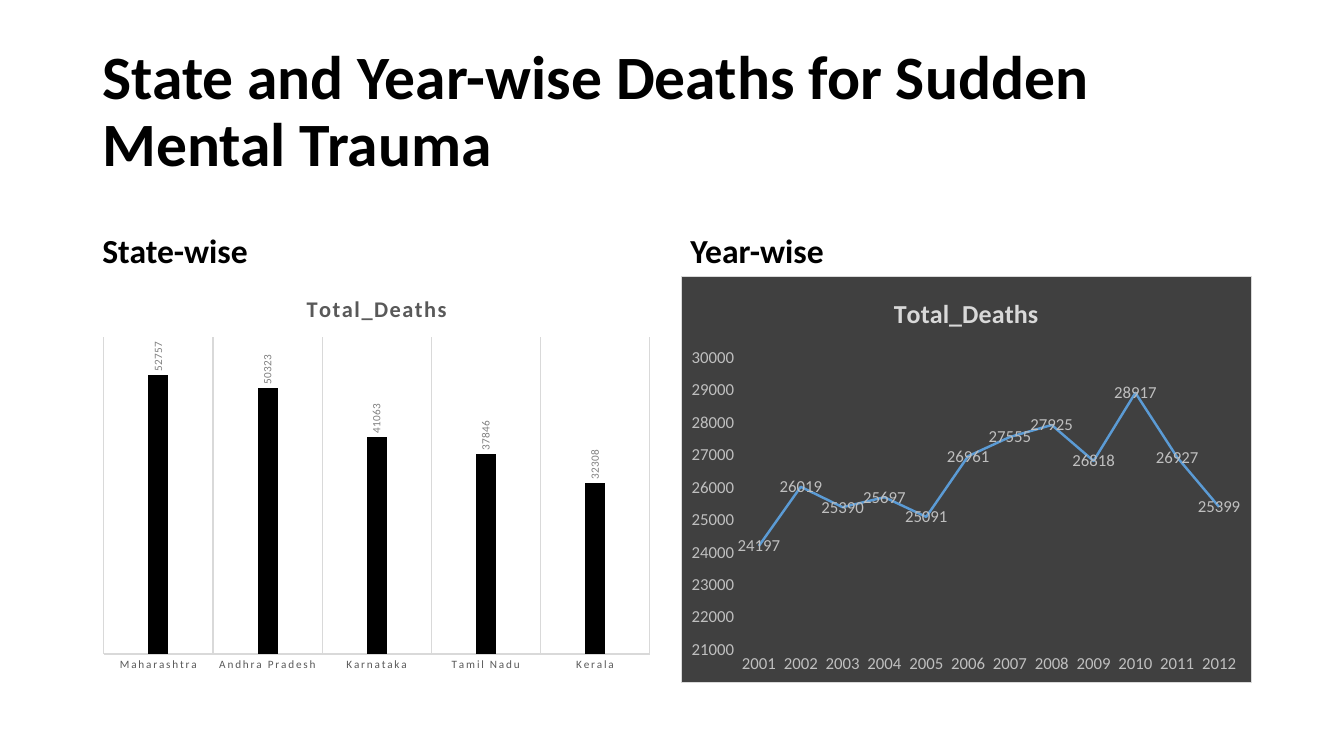
from lxml import etree
from pptx import Presentation
from pptx.chart.data import CategoryChartData
from pptx.dml.color import RGBColor
from pptx.enum.chart import (XL_CHART_TYPE, XL_LABEL_POSITION, XL_MARKER_STYLE,
                             XL_TICK_MARK)
from pptx.enum.text import MSO_ANCHOR
from pptx.oxml import parse_xml
from pptx.oxml.ns import nsdecls, qn
from pptx.util import Cm, Pt

COLUMN, LINE = XL_CHART_TYPE.COLUMN_CLUSTERED, XL_CHART_TYPE.LINE
OUTSIDE, CENTER = XL_LABEL_POSITION.OUTSIDE_END, XL_LABEL_POSITION.CENTER
NO_TICK, NO_MARKER = XL_TICK_MARK.NONE, XL_MARKER_STYLE.NONE
MIDDLE, BOTTOM = MSO_ANCHOR.MIDDLE, MSO_ANCHOR.BOTTOM
FONT = "Calibri"
LEFT, TITLE_W = 2.33, 29.21
HEAD_TOP, HEAD_H = 4.67, 2.29
CHART_H = 10.24

STATE_DEATHS = {"Maharashtra": 52757, "Andhra Pradesh": 50323,
                "Karnataka": 41063, "Tamil Nadu": 37846, "Kerala": 32308}
YEARS = [str(year) for year in range(2001, 2013)]
YEAR_DEATHS = dict(zip(YEARS, [24197, 26019, 25390, 25697, 25091, 26961,
                               27555, 27925, 26818, 28917, 26927, 25399]))


def rgb(value):
    return RGBColor.from_string(value)


def set_font(font, size, color, bold=False):
    font.name, font.size, font.bold = FONT, Pt(size), bold
    font.color.rgb = rgb(color)


def set_line(line, color, width=0.75):
    line.color.rgb, line.width = rgb(color), Pt(width)


def add_text(slide, box, text, size, anchor, before=0):
    sp = slide.shapes.add_textbox(*map(Cm, box))
    tf = sp.text_frame
    tf.word_wrap, tf.vertical_anchor = True, anchor
    p = tf.paragraphs[0]
    p.text, p.line_spacing, p.space_before = text, 0.9, Pt(before)
    set_font(p.font, size, "000000", True)


def set_spacing(element, hundredths):
    for props in element.iter(qn("a:defRPr")):
        props.set("spc", str(hundredths))


def set_plot_box(chart, x, y, w, h):
    plot_area = chart.plots[0]._element.getparent()
    for old in plot_area.findall(qn("c:layout")):
        plot_area.remove(old)
    layout = etree.Element(qn("c:layout"))
    manual = etree.SubElement(layout, qn("c:manualLayout"))
    settings = dict(layoutTarget="inner", xMode="edge", yMode="edge",
                    x=x, y=y, w=w, h=h)
    for tag, value in settings.items():
        etree.SubElement(manual, qn(f"c:{tag}")).set("val", str(value))
    plot_area.insert(0, layout)


def set_background(chart, fill, border):
    sp_pr = parse_xml(
        f'<c:spPr {nsdecls("c", "a")}>'
        f'<a:solidFill><a:srgbClr val="{fill}"/></a:solidFill>'
        f'<a:ln w="{Pt(0.75)}"><a:solidFill><a:srgbClr val="{border}"/>'
        '</a:solidFill></a:ln></c:spPr>')
    chart._chartSpace.find(qn("c:txPr")).addprevious(sp_pr)


def add_deaths_chart(slide, box, kind, deaths, title_style, axis_style,
                     label_style, label_position):
    data = CategoryChartData()
    data.categories = list(deaths)
    data.add_series("Total_Deaths", list(deaths.values()))
    chart = slide.shapes.add_chart(kind, *map(Cm, box), data).chart
    set_font(chart.font, 10, "000000")
    chart.has_legend = False
    chart.has_title = True
    p = chart.chart_title.text_frame.paragraphs[0]
    p.text = "Total_Deaths"
    set_font(p.font, *title_style, True)
    chart.chart_title.include_in_layout = False
    chart.value_axis.has_major_gridlines = False
    for axis in (chart.category_axis, chart.value_axis):
        axis.major_tick_mark = axis.minor_tick_mark = NO_TICK
        axis.format.line.fill.background()
        set_font(axis.tick_labels.font, *axis_style)
    plot = chart.plots[0]
    plot.vary_by_categories = False
    plot.has_data_labels = True
    labels = plot.data_labels
    labels.show_value, labels.position = True, label_position
    set_font(labels.font, *label_style)
    return chart


def add_state_panel(slide, x, y, w):
    add_text(slide, (x, y, w, HEAD_H), "State-wise", 24, BOTTOM, 10)
    chart = add_deaths_chart(slide, (x, y + HEAD_H, w, CHART_H), COLUMN,
                             STATE_DEATHS, (16, "595959"), (8, "595959"),
                             (8, "808080"), OUTSIDE)
    set_plot_box(chart, 0.02, 0.15, 0.96, 0.78)
    axis = chart.category_axis
    set_line(axis.format.line, "D9D9D9")
    axis.has_major_gridlines = True
    set_line(axis.major_gridlines.format.line, "D9D9D9")
    chart.value_axis.visible = False
    chart.value_axis.minimum_scale = 0
    chart.value_axis.maximum_scale = 60000
    plot = chart.plots[0]
    plot.gap_width, plot.overlap = 444, -90
    fill = plot.series[0].format.fill
    fill.solid()
    fill.fore_color.rgb = rgb("000000")
    for part in (chart.chart_title, axis):
        set_spacing(part._element, 120)
    body = next(plot.data_labels._element.iter(qn("a:bodyPr")))
    body.set("rot", "-5400000")
    body.set("vert", "horz")


def add_year_panel(slide, x, y, w):
    add_text(slide, (x, y, w, HEAD_H), "Year-wise", 24, BOTTOM, 10)
    chart = add_deaths_chart(slide, (x, y + HEAD_H, w, CHART_H), LINE,
                             YEAR_DEATHS, (18.6, "D9D9D9"), (12, "BFBFBF"),
                             (12, "BFBFBF"), CENTER)
    set_background(chart, "404040", "D9D9D9")
    set_plot_box(chart, 0.1, 0.2, 0.88, 0.72)
    axis = chart.value_axis
    axis.minimum_scale, axis.maximum_scale = 21000, 30000
    axis.major_unit = 1000
    series = chart.plots[0].series[0]
    series.smooth = False
    series.marker.style = NO_MARKER
    set_line(series.format.line, "5B9BD5", 1.75)


prs = Presentation()
prs.slide_width, prs.slide_height = Cm(33.87), Cm(19.05)
slide = prs.slides.add_slide(prs.slide_layouts[6])
add_text(slide, (LEFT, 1.01, TITLE_W, 3.68),
         "State and Year-wise Deaths for Sudden Mental Trauma", 44, MIDDLE)
add_state_panel(slide, LEFT, HEAD_TOP, 14.33)
add_year_panel(slide, 17.15, HEAD_TOP, 14.4)
prs.save("out.pptx")
